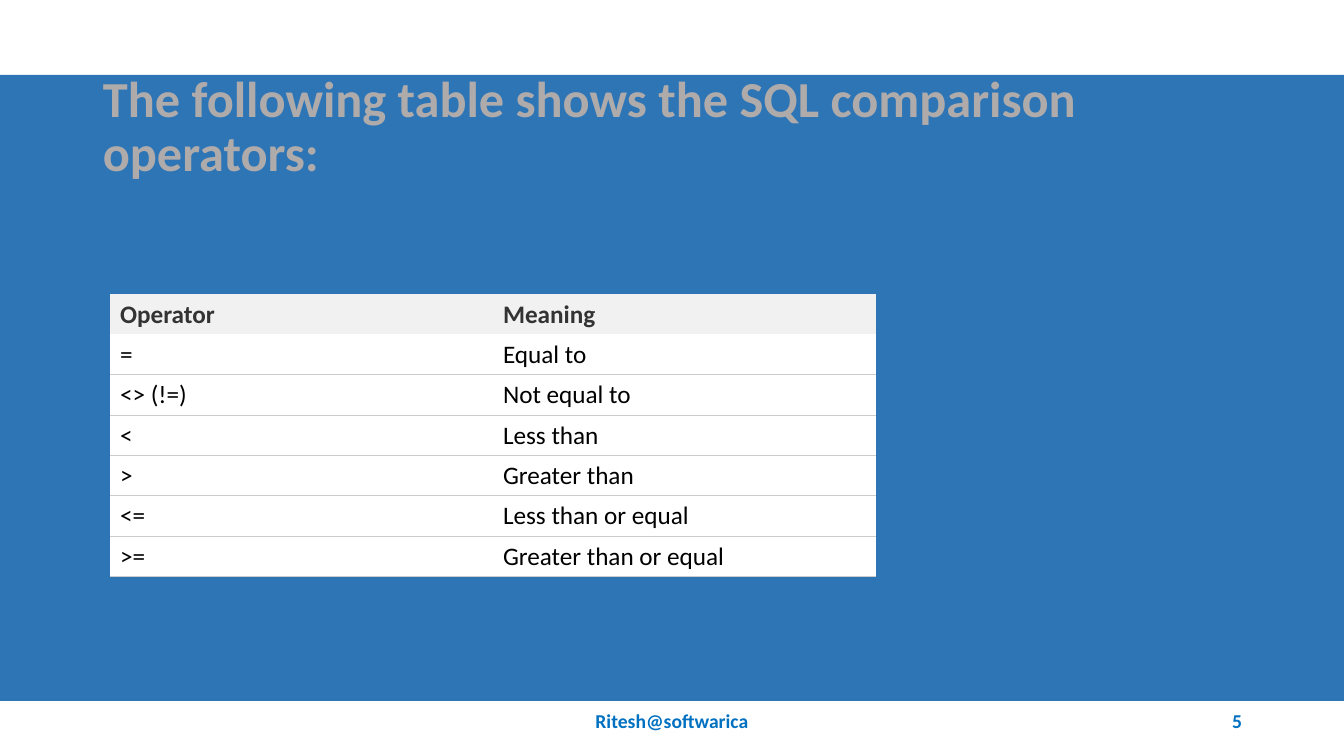
from lxml.etree import SubElement
from pptx import Presentation
from pptx.dml.color import RGBColor
from pptx.enum.shapes import MSO_SHAPE
from pptx.enum.text import MSO_ANCHOR, PP_ALIGN
from pptx.oxml.ns import qn
from pptx.util import Emu, Pt

EMU_PER_PX = 914400 / 100.8
PLAIN_TABLE_STYLE = "{2D5ABB26-0587-4C30-8999-92F81FD0307C}"
OPERATORS = [
    ("Operator", "Meaning"),
    ("=", "Equal to"),
    ("<> (!=)", "Not equal to"),
    ("<", "Less than"),
    (">", "Greater than"),
    ("<=", "Less than or equal"),
    (">=", "Greater than or equal"),
]


def px(length):
    """Turn pixels into EMU."""
    return Emu(round(length * EMU_PER_PX))


def color(hex_value):
    """Turn a hex string into a colour."""
    return RGBColor.from_string(hex_value)


def write(frame, text, size=18, hex_value="000000", bold=False,
          align=PP_ALIGN.LEFT, spacing=1.0):
    """Write one formatted paragraph into a text frame."""
    frame.word_wrap = True
    para = frame.paragraphs[0]
    para.alignment = align
    para.line_spacing = spacing
    span = para.add_run()
    span.text = text
    span.font.name = "Calibri"
    span.font.size = Pt(size)
    span.font.bold = bold
    span.font.color.rgb = color(hex_value)


def add_text(page, box, text, **style):
    """Add a vertically centred text box."""
    frame = page.shapes.add_textbox(*map(px, box)).text_frame
    frame.vertical_anchor = MSO_ANCHOR.MIDDLE
    write(frame, text, **style)


def add_backdrop(page, box):
    """Add the blue band behind the content."""
    band = page.shapes.add_shape(MSO_SHAPE.RECTANGLE, *map(px, box))
    band.shadow.inherit = False
    band.fill.solid()
    band.fill.fore_color.rgb = color("2E75B6")
    band.line.fill.background()


def add_rule(cell, side):
    """Draw a thin grey border on one side of a cell."""
    properties = cell._tc.get_or_add_tcPr()
    line = SubElement(properties, qn(f"a:{side}"), w=str(Pt(0.75)))
    fill = SubElement(line, qn("a:solidFill"))
    SubElement(fill, qn("a:srgbClr"), val="CCCCCC")


def add_operator_table(page, box):
    """Add the table of operators, with equal rows and columns."""
    left, top, width, height = map(px, box)
    frame = page.shapes.add_table(len(OPERATORS), 2, left, top, width, height)
    table = frame.table
    table._tbl.tblPr.find(qn("a:tableStyleId")).text = PLAIN_TABLE_STYLE
    table.horz_banding = False
    for row, texts in enumerate(OPERATORS):
        header = row == 0
        for column, text in enumerate(texts):
            cell = table.cell(row, column)
            if row > 1:
                add_rule(cell, "lnT")
            if not header:
                add_rule(cell, "lnB")
            cell.fill.solid()
            cell.fill.fore_color.rgb = color("F1F1F1" if header else "FFFFFF")
            write(cell.text_frame, text, bold=header,
                  hex_value="333333" if header else "000000")


def add_footer(page, box):
    """Add the centred author and the page number at the right."""
    left, top, width, height = box
    style = {"size": 14, "hex_value": "0070C0", "bold": True}
    author_width, number_width = 454, 302
    author_left = left + (width - author_width) // 2
    add_text(page, (author_left, top, author_width, height),
             "Ritesh@softwarica", align=PP_ALIGN.CENTER, **style)
    add_text(page, (left + width - number_width, top, number_width, height),
             "5", align=PP_ALIGN.RIGHT, **style)


def main():
    """Build and save the slide."""
    deck = Presentation()
    deck.slide_width, deck.slide_height = px(1344), px(756)
    page = deck.slides.add_slide(deck.slide_layouts[6])
    page.background.fill.solid()
    page.background.fill.fore_color.rgb = color("FFFFFF")
    add_backdrop(page, (0, 75, 1344, 626))
    add_text(page, (93, 85, 1159, 86),
             "The following table shows the SQL comparison operators:",
             size=36, hex_value="AFABAB", bold=True, spacing=0.9)
    add_operator_table(page, (110, 294, 766, 282))
    add_footer(page, (92, 701, 1160, 40))
    deck.save("out.pptx")


if __name__ == "__main__":
    main()
